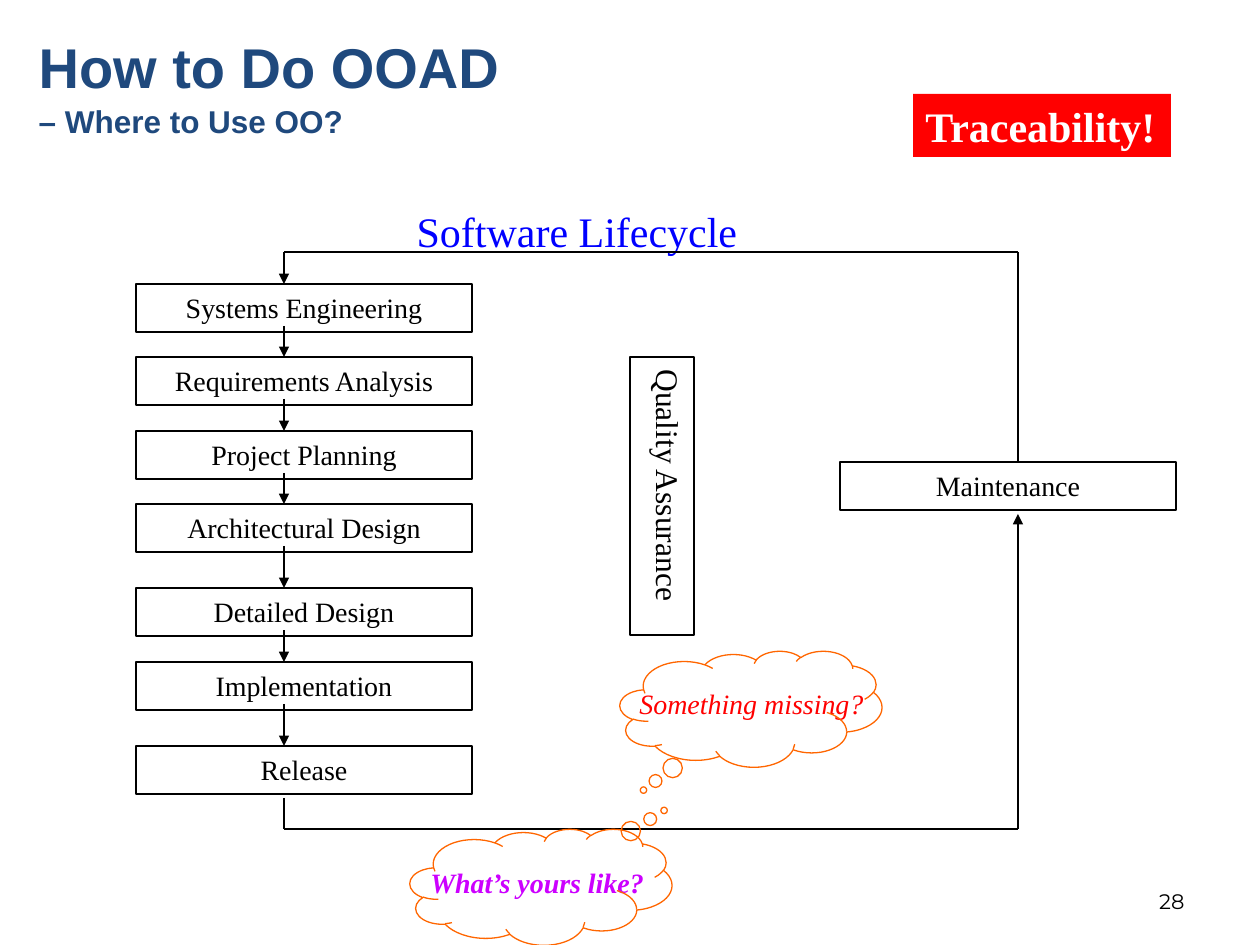
from dataclasses import dataclass
from itertools import pairwise

from lxml import etree
from pptx import Presentation
from pptx.dml.color import RGBColor
from pptx.enum.shapes import MSO_CONNECTOR, MSO_SHAPE
from pptx.enum.text import MSO_ANCHOR, MSO_AUTO_SIZE, PP_ALIGN
from pptx.oxml.ns import qn
from pptx.util import Emu, Pt

RECT, CLOUD = MSO_SHAPE.RECTANGLE, MSO_SHAPE.CLOUD_CALLOUT
STRAIGHT = MSO_CONNECTOR.STRAIGHT
TOP, MIDDLE = MSO_ANCHOR.TOP, MSO_ANCHOR.MIDDLE
LEFT, CENTER, RIGHT = PP_ALIGN.LEFT, PP_ALIGN.CENTER, PP_ALIGN.RIGHT
NO_FIT, GROW = MSO_AUTO_SIZE.NONE, MSO_AUTO_SIZE.SHAPE_TO_FIT_TEXT

PX_PER_INCH = 126
SERIF = "Times New Roman"
COLORS = {
    "black": "000000", "white": "FFFFFF", "red": "FF0000", "blue": "0000FF",
    "navy": "1F497D", "orange": "FF6600", "purple": "CC00FF",
}


@dataclass
class Style:
    size: int
    color: str = "black"
    font: str = SERIF
    bold: bool = False
    italic: bool = False
    align: PP_ALIGN = LEFT


@dataclass
class Box:
    x: int
    y: int
    w: int
    h: int


@dataclass
class Thought:
    box: Box
    pointer: tuple[float, float]
    label: str
    label_box: Box
    style: Style


def px(n: int) -> Emu:
    return Emu(round(n * 914400 / PX_PER_INCH))


def rgb(name: str) -> RGBColor:
    return RGBColor.from_string(COLORS[name])


def place(box: Box) -> list[Emu]:
    return [px(n) for n in (box.x, box.y, box.w, box.h)]


def style_paragraph(p, style: Style) -> None:
    p.alignment = style.align
    for r in p.runs:
        r.font.name, r.font.size = style.font, Pt(style.size)
        r.font.bold, r.font.italic = style.bold, style.italic
        r.font.color.rgb = rgb(style.color)


def write(sp, text: str, style: Style, wrap: bool = True, anchor=TOP, fit=GROW):
    tf = sp.text_frame
    tf.text = text
    tf.word_wrap, tf.vertical_anchor, tf.auto_size = wrap, anchor, fit
    style_paragraph(tf.paragraphs[0], style)


def add_shape(s, kind, box: Box, fill: str = "", line: str = ""):
    sp = s.shapes.add_shape(kind, *place(box))
    sp.shadow.inherit = False
    if fill:
        sp.fill.solid()
        sp.fill.fore_color.rgb = rgb(fill)
    else:
        sp.fill.background()
    if line:
        sp.line.color.rgb = rgb(line)
        sp.line.width = Pt(0.75)
    else:
        sp.line.fill.background()
    return sp


def add_label(s, box: Box, text: str, style: Style, **options) -> None:
    write(s.shapes.add_textbox(*place(box)), text, style, **options)


def add_path(s, points: list[tuple[int, int]], arrow: bool = True) -> None:
    """Straight segments through the points, with an arrowhead on the last."""
    segments = list(pairwise(points))
    for i, (start, end) in enumerate(segments):
        line = s.shapes.add_connector(STRAIGHT, *map(px, start + end))
        line.line.color.rgb = rgb("black")
        line.line.width = Pt(0.75)
        if arrow and i == len(segments) - 1:
            etree.SubElement(line.line._get_or_add_ln(), qn("a:tailEnd"), type="triangle")
        etree.SubElement(line._element.spPr, qn("a:effectLst"))


def add_title(s) -> None:
    title = s.shapes.title
    title.left, title.top, title.width, title.height = place(Box(26, 31, 1105, 126))
    write(title, "How to Do OOAD\n– Where to Use OO?",
          Style(32, "navy", "Arial", bold=True), fit=NO_FIT)
    title.text_frame.margin_top = px(2)
    subtitle = title.text_frame.paragraphs[1]
    style_paragraph(subtitle, Style(18, "navy", "Arial", bold=True))
    subtitle.space_before = Pt(1)


PHASES = {
    "Systems Engineering": 284, "Requirements Analysis": 357,
    "Project Planning": 431, "Architectural Design": 504,
    "Detailed Design": 588, "Implementation": 662, "Release": 746,
}
PHASE_X, PHASE_W, PHASE_H = 136, 336, 48
FLOW_X, RETURN_X = 284, 1018
LOOP_TOP, LOOP_BOTTOM = 252, 829
MAINTENANCE = Box(840, 462, PHASE_W, PHASE_H)
THOUGHTS = [
    Thought(Box(620, 651, 262, 116), (-0.41, 0.70), "Something missing?",
            Box(627, 680, 251, 47), Style(16, "red", italic=True)),
    Thought(Box(410, 829, 262, 116), (0.47, -0.66), "What’s yours like?",
            Box(418, 859, 242, 47), Style(16, "purple", bold=True, italic=True)),
]


def main() -> None:
    prs = Presentation()
    prs.slide_width, prs.slide_height = px(1260), px(945)
    s = prs.slides.add_slide(prs.slide_layouts[5])

    # Title, slide number and heading
    add_title(s)
    add_label(s, Box(903, 876, 294, 50), "28",
              Style(12, font="Montserrat", align=RIGHT), anchor=MIDDLE, fit=NO_FIT)
    add_label(s, Box(325, 199, 504, 63), "Software Lifecycle",
              Style(24, "blue", align=CENTER))

    # Lifecycle phases
    boxes = {name: Box(PHASE_X, y, PHASE_W, PHASE_H) for name, y in PHASES.items()}
    boxes["Maintenance"] = MAINTENANCE
    for name, box in boxes.items():
        write(add_shape(s, RECT, box, line="black"), name, Style(16, align=CENTER))

    # Quality assurance, set vertically
    quality = add_shape(s, RECT, Box(630, 357, 64, 278), line="black")
    write(quality, "Quality Assurance", Style(18))
    quality.text_frame._txBody.bodyPr.set("vert", "eaVert")

    # Arrows between phases, starting just inside each box
    for y, next_y in pairwise(PHASES.values()):
        add_path(s, [(FLOW_X, y + PHASE_H - 6), (FLOW_X, next_y)])

    # Loop from release through maintenance back to the start
    add_path(s, [(FLOW_X, 798), (FLOW_X, LOOP_BOTTOM), (RETURN_X, LOOP_BOTTOM),
                 (RETURN_X, 514)])
    add_path(s, [(RETURN_X, MAINTENANCE.y), (RETURN_X, LOOP_TOP), (FLOW_X, LOOP_TOP),
                 (FLOW_X, PHASES["Systems Engineering"])])

    # Traceability banner
    banner = add_shape(s, RECT, Box(913, 94, 258, 63), fill="red")
    write(banner, "Traceability!", Style(24, "white", bold=True), wrap=False)

    # Thought clouds
    for thought in THOUGHTS:
        add_label(s, thought.label_box, thought.label, thought.style, wrap=False)
        cloud = add_shape(s, CLOUD, thought.box, line="orange")
        cloud.adjustments[0], cloud.adjustments[1] = thought.pointer

    prs.save("out.pptx")


if __name__ == "__main__":
    main()
